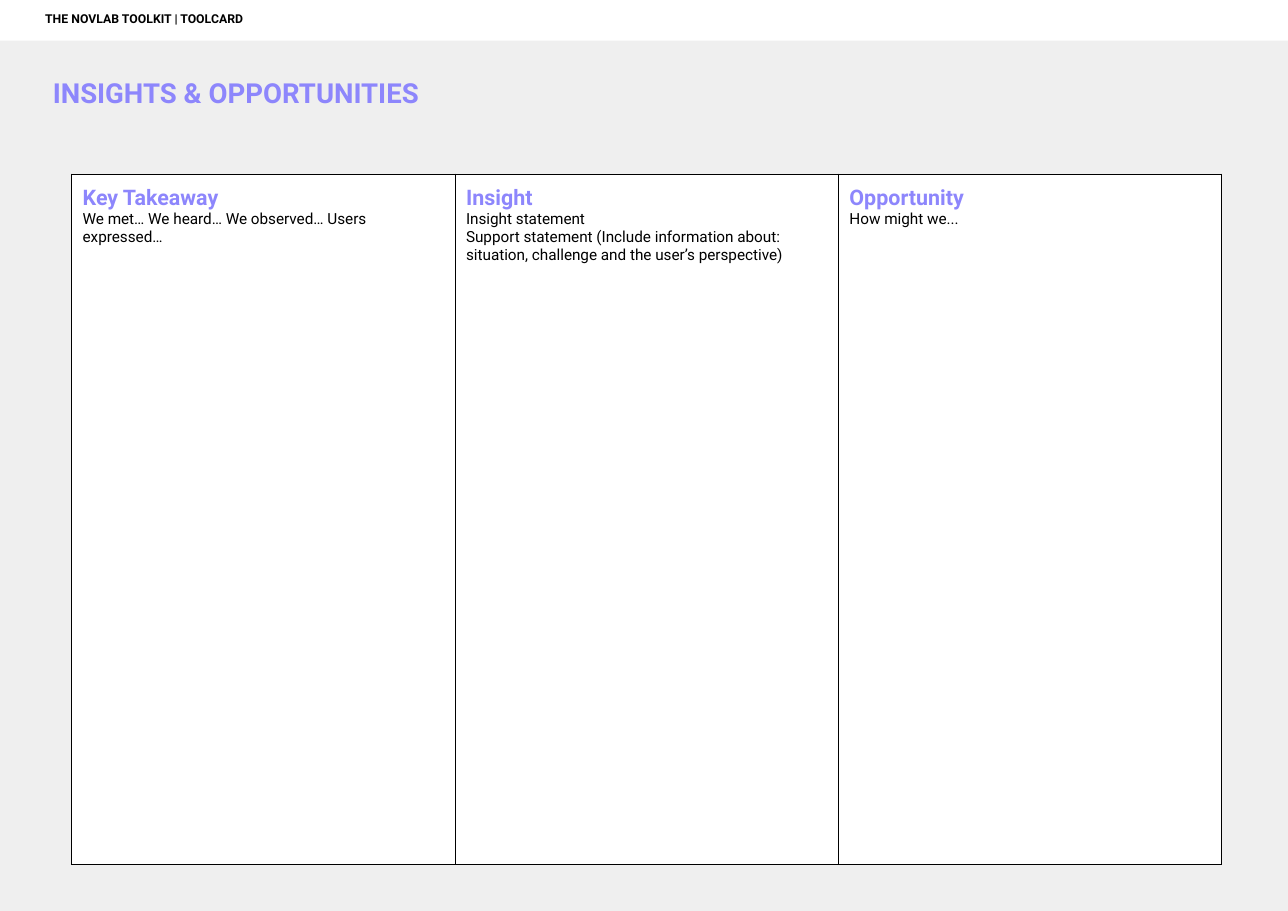
from lxml import etree
from pptx import Presentation
from pptx.dml.color import RGBColor
from pptx.enum.shapes import MSO_SHAPE
from pptx.enum.text import MSO_ANCHOR, PP_ALIGN
from pptx.oxml.ns import qn
from pptx.util import Inches, Pt

RECTANGLE = MSO_SHAPE.RECTANGLE
TOP = MSO_ANCHOR.TOP
LEFT = PP_ALIGN.LEFT

WIDTH, HEIGHT = 11.69, 8.27
HEADER_HEIGHT = 0.37
INSET = 0.1
FONT = "Roboto"
COLORS = {
    "background": "EFEFEF",
    "panel": "FFFFFF",
    "accent": "8D86FC",
    "ink": "000000",
}

TABLE_LEFT, TABLE_TOP = 0.65, 1.58
COLUMN_WIDTH, ROW_HEIGHT = 3.48, 6.27
BORDER_WIDTH = Pt(0.75)
COLUMNS = [
    ("Key Takeaway", "We met… We heard… We observed… Users expressed…"),
    ("Insight", "Insight statement",
     "Support statement (Include information about: "
     "situation, challenge and the user’s perspective)"),
    ("Opportunity", "How might we..."),
]


def color(name):
    return RGBColor.from_string(COLORS[name])


def format_paragraph(para, size, color_name, bold):
    para.alignment = LEFT
    for span in para.runs:
        span.font.name = FONT
        span.font.size = Pt(size)
        span.font.bold = bold
        span.font.color.rgb = color(color_name)


def add_panel(slide, height, fill):
    """Add a plain full-width rectangle at the top of the slide."""
    panel = slide.shapes.add_shape(RECTANGLE, 0, 0, Inches(WIDTH), Inches(height))
    panel.shadow.inherit = False
    panel.fill.solid()
    panel.fill.fore_color.rgb = color(fill)
    panel.line.fill.background()
    return panel


def write_line(box, text, indent, size, color_name):
    """Write one bold line, indented from the left edge of the box."""
    frame = box.text_frame
    frame.word_wrap = True
    frame.vertical_anchor = TOP
    frame.margin_left = Inches(INSET + indent)
    frame.margin_right = frame.margin_top = frame.margin_bottom = Inches(INSET)
    frame.text = text
    format_paragraph(frame.paragraphs[0], size, color_name, True)


def add_borders(cell):
    properties = cell._tc.get_or_add_tcPr()
    for position, side in enumerate(("a:lnL", "a:lnR", "a:lnT", "a:lnB")):
        line = etree.Element(qn(side), w=str(BORDER_WIDTH))
        fill = etree.SubElement(line, qn("a:solidFill"))
        etree.SubElement(fill, qn("a:srgbClr"), val=COLORS["ink"])
        properties.insert(position, line)


def fill_cell(cell, lines):
    """Write a heading and its prompts into a bordered cell."""
    cell.fill.solid()
    cell.fill.fore_color.rgb = color("panel")
    cell.vertical_anchor = TOP
    cell.margin_left = cell.margin_right = Inches(INSET)
    cell.margin_top = cell.margin_bottom = Inches(INSET)
    cell.text_frame.text = "\n".join(lines)
    heading, *prompts = cell.text_frame.paragraphs
    format_paragraph(heading, 14, "accent", True)
    for prompt in prompts:
        format_paragraph(prompt, 10, "ink", False)
    add_borders(cell)


def add_insight_table(slide):
    count = len(COLUMNS)
    table = slide.shapes.add_table(
        1, count, Inches(TABLE_LEFT), Inches(TABLE_TOP),
        Inches(COLUMN_WIDTH * count), Inches(ROW_HEIGHT)).table
    table.first_row = table.horz_banding = False
    for index, lines in enumerate(COLUMNS):
        table.columns[index].width = Inches(COLUMN_WIDTH)
        fill_cell(table.cell(0, index), lines)


def main():
    deck = Presentation()
    deck.slide_width, deck.slide_height = Inches(WIDTH), Inches(HEIGHT)
    slide = deck.slides.add_slide(deck.slide_layouts[6])

    add_panel(slide, HEIGHT, "background")
    title = slide.shapes.add_textbox(0, Inches(0.59), Inches(6.64), Inches(0.51))
    write_line(title, "INSIGHTS & OPPORTUNITIES", 0.38, 18, "accent")
    add_insight_table(slide)
    header = add_panel(slide, HEADER_HEIGHT, "panel")
    write_line(header, "THE NOVLAB TOOLKIT | TOOLCARD", 0.31, 8, "ink")

    deck.save("out.pptx")


if __name__ == "__main__":
    main()
